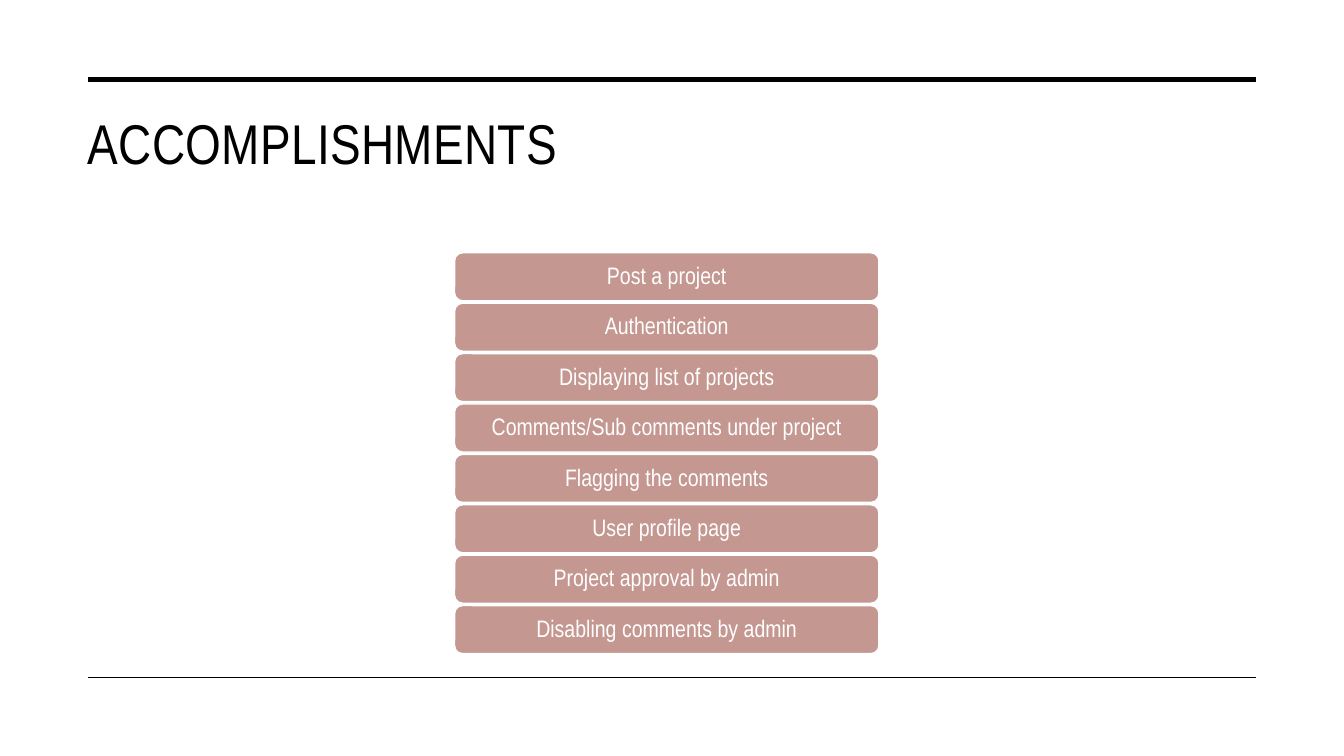
"""Build the accomplishments slide: a title, two rules and a stack of bars."""
from lxml import etree
from pptx import Presentation
from pptx.dml.color import RGBColor
from pptx.enum import shapes, text
from pptx.oxml.ns import qn
from pptx.util import Pt

TITLE = "ACCOMPLISHMENTS"
ITEMS = [
    "Post a project",
    "Authentication",
    "Displaying list of projects",
    "Comments/Sub comments under project",
    "Flagging the comments",
    "User profile page",
    "Project approval by admin",
    "Disabling comments by admin",
]
RULES = [(56.9, 3.5), (483.8, 1)]
FONT = "Arial Narrow"
BLACK, WHITE, ROSE = "000000", "FFFFFF", "C49791"
LEFT, RIGHT = 63.2, 897.2
BAR_X, BAR_Y, BAR_W, BAR_H, STEP = 324.7, 180.6, 303.1, 34.3, 36


def paint(color, value):
    color.rgb = RGBColor.from_string(value)


def write(frame, words, size, value):
    frame.word_wrap = True
    para = frame.paragraphs[0]
    run = para.add_run()
    run.text = words
    run.font.name = FONT
    run.font.size = Pt(size)
    paint(run.font.color, value)
    return para, run


def add_title(slide):
    box = slide.shapes.add_textbox(Pt(55.6), Pt(71.3), Pt(841.6), Pt(90.7))
    box.text_frame.margin_top = Pt(6.5)
    run = write(box.text_frame, TITLE, 40, BLACK)[1]
    run.font._element.set("spc", "30")


def add_rule(slide, top, width):
    rule = slide.shapes.add_connector(
        shapes.MSO_CONNECTOR.STRAIGHT, Pt(LEFT), Pt(top), Pt(RIGHT), Pt(top))
    rule.line.width = Pt(width)
    paint(rule.line.color, BLACK)
    etree.SubElement(rule._element.spPr, qn("a:effectLst"))


def add_bar(slide, row, words):
    bar = slide.shapes.add_shape(
        shapes.MSO_SHAPE.ROUNDED_RECTANGLE,
        Pt(BAR_X), Pt(BAR_Y + row * STEP), Pt(BAR_W), Pt(BAR_H))
    bar.shadow.inherit = False
    bar.fill.solid()
    paint(bar.fill.fore_color, ROSE)
    bar.line.width = Pt(1)
    paint(bar.line.color, WHITE)
    frame = bar.text_frame
    frame.margin_left = frame.margin_right = Pt(5)
    frame.margin_top = frame.margin_bottom = Pt(3)
    frame.vertical_anchor = text.MSO_ANCHOR.MIDDLE
    para = write(frame, words, 17, WHITE)[0]
    para.alignment = text.PP_ALIGN.CENTER
    para.line_spacing = 0.9


def main():
    deck = Presentation()
    deck.slide_width, deck.slide_height = Pt(960), Pt(540)
    slide = deck.slides.add_slide(deck.slide_layouts[6])
    add_title(slide)
    for top, width in RULES:
        add_rule(slide, top, width)
    for row, words in enumerate(ITEMS):
        add_bar(slide, row, words)
    deck.save("out.pptx")


if __name__ == "__main__":
    main()
